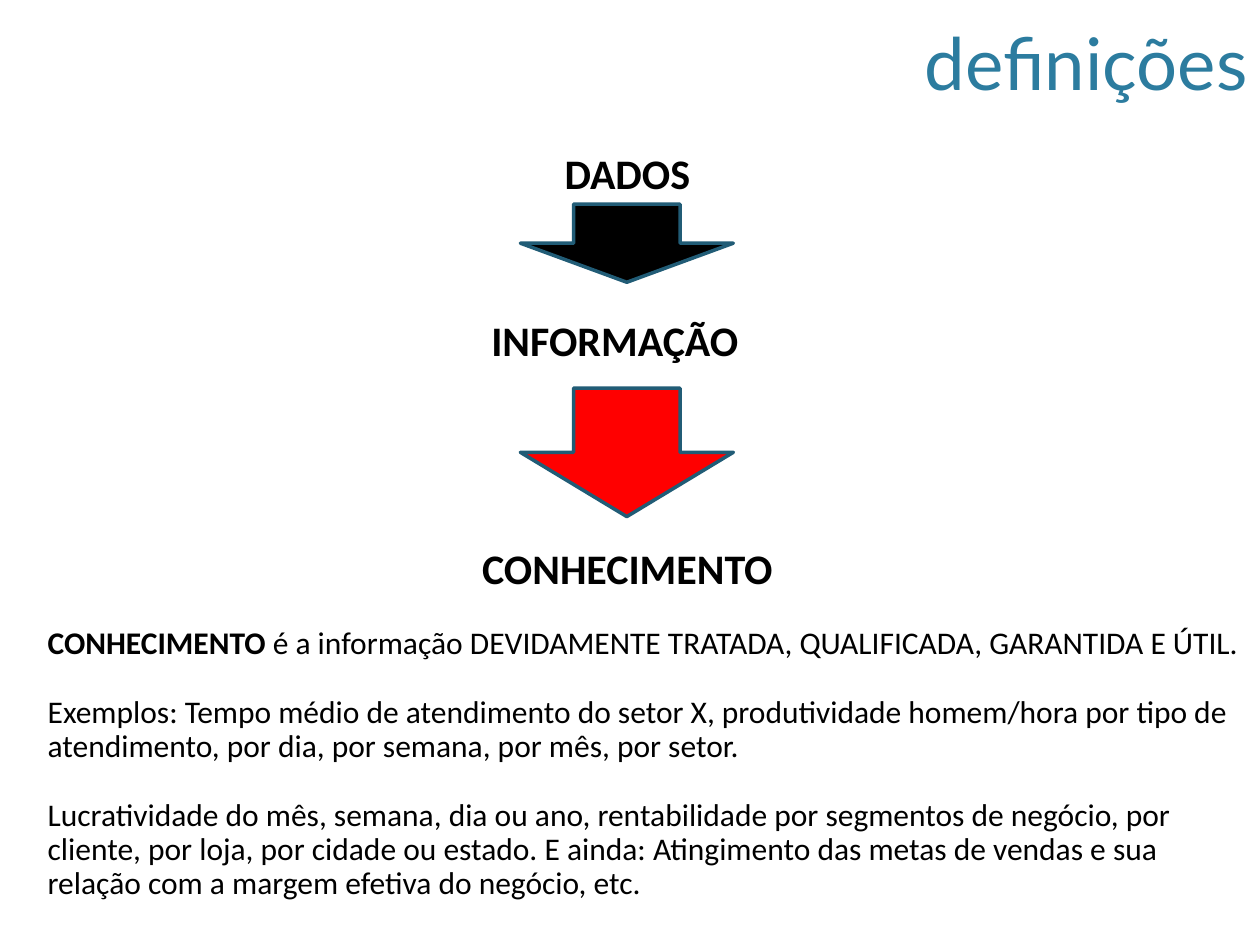
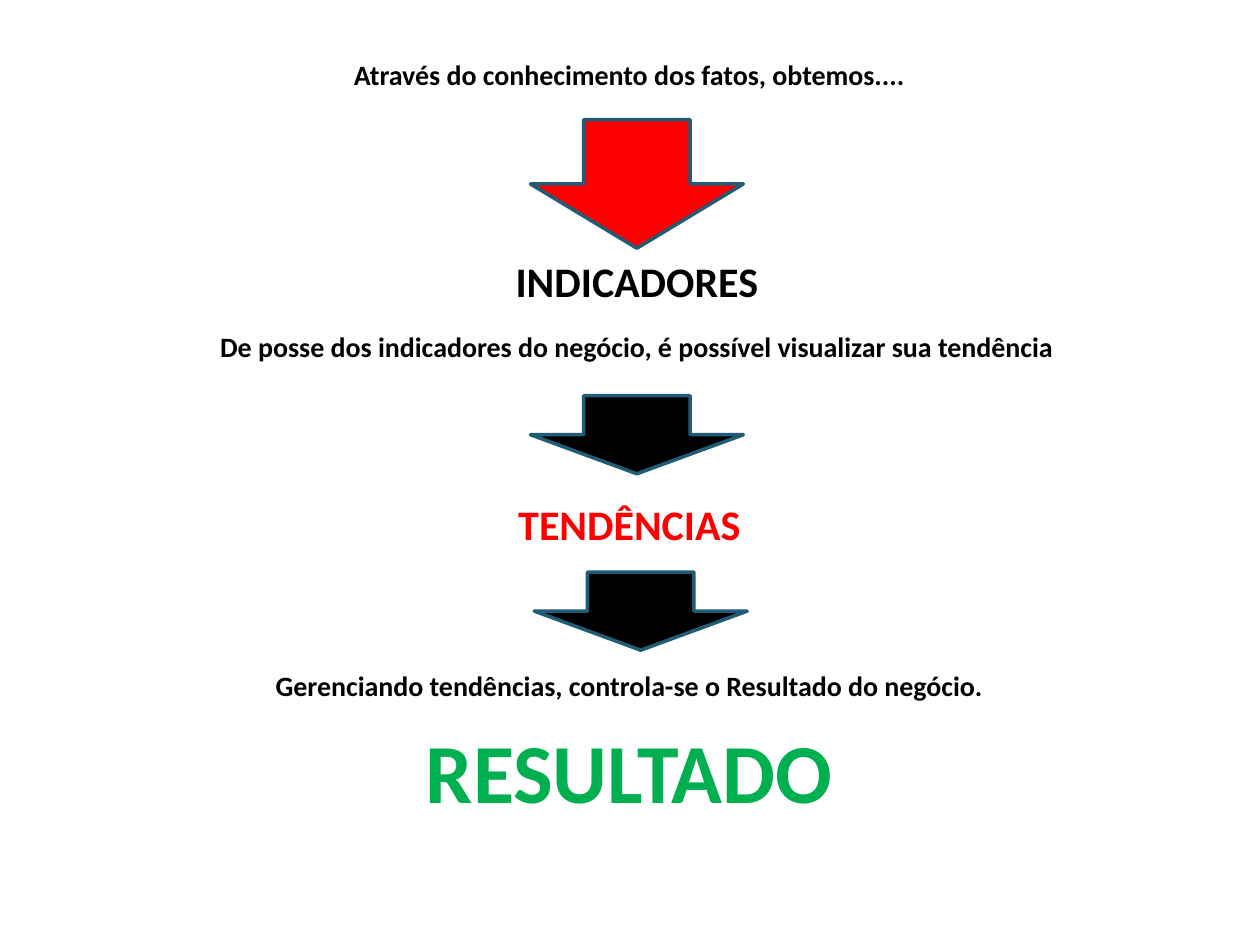
"""Builds two slides that lead from data to business results."""
import pptx
import pptx.dml.color
import pptx.enum.shapes
import pptx.enum.text
import pptx.util

Inches = pptx.util.Inches
Pt = pptx.util.Pt
Align = pptx.enum.text.PP_ALIGN
Anchor = pptx.enum.text.MSO_ANCHOR

COLOURS = {
    "title": "2C7C9F",
    "black": "000000",
    "red": "FF0000",
    "green": "00B050",
    "outline": "215C76",
}
TITLE_ONLY, BLANK = 5, 6
ARROW_WIDTH = 1.69
SHORT_ARROW, LONG_ARROW = 0.62, 1.02


def colour(name):
    """Return the named colour of the palette."""
    return pptx.dml.color.RGBColor.from_string(COLOURS[name])


def write(para, text, size=18, bold=False, tint="black", font="Calibri"):
    """Add one formatted span of text to a paragraph."""
    span = para.add_run()
    span.text = text
    span.font.name = font
    span.font.size = Pt(size)
    span.font.bold = bold
    span.font.color.rgb = colour(tint)


class Builder:
    """Holds the shared style and the current page."""

    def __init__(self):
        """Open a deck of 10 by 7.5 inches."""
        self.deck = pptx.Presentation()
        self.deck.slide_width = Inches(10)
        self.deck.slide_height = Inches(7.5)
        self.page = None

    def add_page(self, layout):
        """Start a new page with the given layout."""
        self.page = self.deck.slides.add_slide(self.deck.slide_layouts[layout])

    def title(self, text):
        """Place and format the page title."""
        box = self.page.shapes.title
        box.left, box.top = Inches(2.65), Inches(0.02)
        box.width, box.height = Inches(7.35), Inches(0.86)
        frame = box.text_frame
        frame.auto_size = pptx.enum.text.MSO_AUTO_SIZE.NONE
        frame.vertical_anchor = Anchor.BOTTOM
        para = frame.paragraphs[0]
        para.alignment = Align.RIGHT
        write(para, text, size=41.4, tint="title", font="Lato")

    def text(self, left, top, width, height, paragraphs, align=Align.LEFT, gap=0):
        """Add a text box whose paragraphs are lists of (text, format) spans."""
        box = self.page.shapes.add_textbox(
            Inches(left), Inches(top), Inches(width), Inches(height))
        frame = box.text_frame
        frame.word_wrap = True
        frame.vertical_anchor = Anchor.TOP
        for index, spans in enumerate(paragraphs):
            para = frame.add_paragraph() if index else frame.paragraphs[0]
            para.alignment = align
            para.line_spacing = 0.9
            para.space_before = Pt(gap if index else 0)
            for text, style in spans:
                write(para, text, **style)

    def label(self, left, top, width, height, text, size=24, tint="black"):
        """Add a bold centred label."""
        spans = [(text, {"size": size, "bold": True, "tint": tint})]
        self.text(left, top, width, height, [spans], align=Align.CENTER)

    def arrow(self, left, top, height, tint):
        """Add an outlined arrow that points down."""
        shape = self.page.shapes.add_shape(
            pptx.enum.shapes.MSO_SHAPE.DOWN_ARROW,
            Inches(left), Inches(top), Inches(ARROW_WIDTH), Inches(height))
        shape.shadow.inherit = False
        shape.fill.solid()
        shape.fill.fore_color.rgb = colour(tint)
        shape.line.color.rgb = colour("outline")
        shape.line.width = Pt(2)


def definitions(builder):
    """Build the page that goes from data to knowledge."""
    builder.add_page(TITLE_ONLY)
    builder.title("definições")
    builder.text(0.28, 4.93, 9.72, 2.36, [
        [("CONHECIMENTO", {"bold": True}),
         (" é a informação DEVIDAMENTE TRATADA, QUALIFICADA, GARANTIDA E ÚTIL.", {})],
        [("Exemplos: Tempo médio de atendimento do setor X, produtividade "
          "homem/hora por tipo de atendimento, por dia, por semana, por mês, "
          "por setor.", {})],
        [("Lucratividade do mês, semana, dia ou ano, rentabilidade por segmentos "
          "de negócio, por cliente, por loja, por cidade ou estado. E ainda: "
          "Atingimento das metas de vendas e sua relação com a margem efetiva "
          "do negócio, etc.", {})],
    ], gap=20)
    builder.label(3.66, 1.17, 2.64, 0.55, "DADOS")
    builder.label(3.58, 2.49, 2.6, 0.59, "INFORMAÇÃO")
    builder.label(3.58, 4.3, 2.8, 0.6, "CONHECIMENTO")
    builder.arrow(4.13, 1.62, SHORT_ARROW, "black")
    builder.arrow(4.13, 3.08, LONG_ARROW, "red")


def results(builder):
    """Build the page that goes from indicators to the result."""
    builder.add_page(BLANK)
    wide, shifted = (0.35, 9.29), (0.47, 9.17)
    labels = [
        (wide, 0.44, 0.69, "Através do conhecimento dos fatos, obtemos....", 16, "black"),
        (shifted, 2.02, 0.55, "INDICADORES", 24, "black"),
        (shifted, 2.6, 0.57,
         "De posse dos indicadores do negócio, é possível visualizar sua tendência",
         16, "black"),
        (wide, 3.95, 0.59, "TENDÊNCIAS", 24, "red"),
        (wide, 5.29, 0.43,
         "Gerenciando tendências, controla-se o Resultado do negócio.", 16, "black"),
        (wide, 5.75, 0.55, "RESULTADO", 48, "green"),
    ]
    for (left, width), top, height, text, size, tint in labels:
        builder.label(left, top, width, height, text, size, tint)
    builder.arrow(4.21, 0.95, LONG_ARROW, "red")
    builder.arrow(4.21, 3.14, SHORT_ARROW, "black")
    builder.arrow(4.24, 4.54, SHORT_ARROW, "black")


def main():
    """Build both pages and save the deck."""
    builder = Builder()
    definitions(builder)
    results(builder)
    builder.deck.save("out.pptx")


if __name__ == "__main__":
    main()
